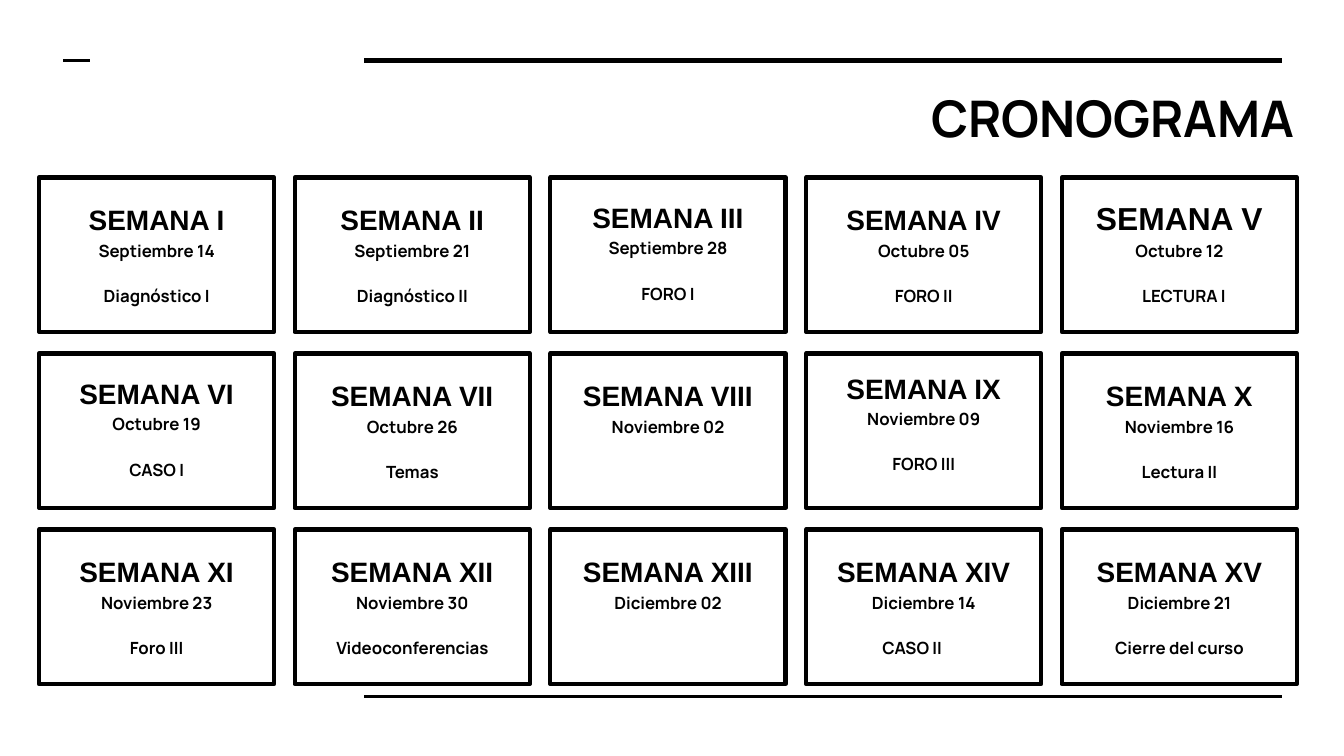
from dataclasses import dataclass
from typing import Optional

from lxml.etree import SubElement
from pptx import Presentation
from pptx.dml.color import RGBColor
from pptx.enum.shapes import MSO_CONNECTOR, MSO_SHAPE
from pptx.enum.text import MSO_ANCHOR, MSO_AUTO_SIZE, PP_ALIGN
from pptx.oxml.ns import qn
from pptx.util import Inches, Pt

BLACK = "000000"
WHITE = "FFFFFF"
HEADING_FONT = "Arial"
BODY_FONT = "Manrope"
COLUMNS = 5
LEFT, LAST_LEFT, TOP = 0.29, 7.9, 1.32
CARD_WIDTH, CARD_HEIGHT = 1.75, 1.15
COLUMN_STEP = (LAST_LEFT - LEFT) / (COLUMNS - 1)
ROW_STEP = 1.31


@dataclass(frozen=True)
class Week:
    numeral: str
    date: str
    activity: str = ""
    filled: bool = False
    heading_size: int = 15
    gap_size: int = 18
    indent: Optional[float] = None


@dataclass(frozen=True)
class Rule:
    start: float
    end: float
    y: float
    weight: float


WEEKS = [
    Week("I", "Septiembre 14", "Diagnóstico I", filled=True),
    Week("II", "Septiembre 21", "Diagnóstico II", filled=True),
    Week("III", "Septiembre 28", "FORO I", filled=True, gap_size=17),
    Week("IV", "Octubre 05", "FORO II", filled=True),
    Week("V", "Octubre 12", "LECTURA I", filled=True, heading_size=17, indent=0.5),
    Week("VI", "Octubre 19", "CASO I", filled=True, gap_size=17),
    Week("VII", "Octubre 26", "Temas"),
    Week("VIII", "Noviembre 02"),
    Week("IX", "Noviembre 09", "FORO III", filled=True, gap_size=15),
    Week("X", "Noviembre 16", "Lectura II"),
    Week("XI", "Noviembre 23", "Foro III"),
    Week("XII", "Noviembre 30", "Videoconferencias"),
    Week("XIII", "Diciembre 02"),
    Week("XIV", "Diciembre 14", "CASO II", filled=True, indent=0.47),
    Week("XV", "Diciembre 21", "Cierre del curso"),
]

RULES = [
    Rule(2.71, 9.54, 0.45, 3),
    Rule(2.71, 9.54, 5.18, 1.5),
    Rule(0.47, 0.67, 0.45, 1.5),
]


def color(value: str) -> RGBColor:
    return RGBColor.from_string(value)


def add_run(paragraph, text: str, size: float, font_name: str) -> None:
    run = paragraph.add_run()
    run.text = text
    run.font.size = Pt(size)
    run.font.name = font_name
    run.font.bold = True
    run.font.color.rgb = color(BLACK)


def prepare_frame(frame) -> None:
    frame.word_wrap = True
    frame.auto_size = MSO_AUTO_SIZE.NONE
    frame.vertical_anchor = MSO_ANCHOR.TOP
    frame.margin_left = frame.margin_right = Inches(0.1)
    frame.margin_top = frame.margin_bottom = Inches(0.1)


def draw_rule(slide, rule: Rule) -> None:
    connector = slide.shapes.add_connector(
        MSO_CONNECTOR.STRAIGHT,
        Inches(rule.start), Inches(rule.y), Inches(rule.end), Inches(rule.y),
    )
    connector.line.color.rgb = color(BLACK)
    connector.line.width = Pt(rule.weight)
    SubElement(connector._element.spPr, qn("a:effectLst"))


def draw_title(slide) -> None:
    title = slide.shapes.title
    title.left, title.top = Inches(6.83), Inches(0.55)
    title.width, title.height = Inches(3.07), Inches(0.69)
    prepare_frame(title.text_frame)
    heading = title.text_frame.paragraphs[0]
    heading.alignment = PP_ALIGN.LEFT
    add_run(heading, "CRONOGRAMA", 27, BODY_FONT)


def draw_week(slide, week: Week, left: float, top: float) -> None:
    card = slide.shapes.add_shape(
        MSO_SHAPE.RECTANGLE,
        Inches(left), Inches(top), Inches(CARD_WIDTH), Inches(CARD_HEIGHT),
    )
    card.shadow.inherit = False
    if week.filled:
        card.fill.solid()
        card.fill.fore_color.rgb = color(WHITE)
    else:
        card.fill.background()
    card.line.color.rgb = color(BLACK)
    card.line.width = Pt(2.25)

    frame = card.text_frame
    prepare_frame(frame)
    heading = frame.paragraphs[0]
    heading.alignment = PP_ALIGN.CENTER
    heading.line_spacing = 1.15
    add_run(heading, f"SEMANA {week.numeral}", week.heading_size, HEADING_FONT)
    add_run(heading, " ", week.gap_size, HEADING_FONT)
    add_run(heading, week.date, 9, BODY_FONT)

    if week.activity:
        activity = frame.add_paragraph()
        activity.line_spacing = 1.15
        activity.space_before = activity.space_after = Pt(12)
        if week.indent is None:
            activity.alignment = PP_ALIGN.CENTER
        else:
            activity.alignment = PP_ALIGN.LEFT
            properties = activity._p.get_or_add_pPr()
            properties.set("marL", str(Inches(week.indent)))
            properties.set("indent", "0")
        add_run(activity, week.activity, 9, BODY_FONT)


def main() -> None:
    presentation = Presentation()
    presentation.slide_width = Inches(10)
    presentation.slide_height = Inches(10) * 9 // 16
    slide = presentation.slides.add_slide(presentation.slide_layouts[5])
    slide.background.fill.solid()
    slide.background.fill.fore_color.rgb = color(WHITE)

    for rule in RULES:
        draw_rule(slide, rule)
    draw_title(slide)
    for index, week in enumerate(WEEKS):
        row, column = divmod(index, COLUMNS)
        draw_week(slide, week, LEFT + column * COLUMN_STEP, TOP + row * ROW_STEP)

    presentation.save("out.pptx")


if __name__ == "__main__":
    main()
